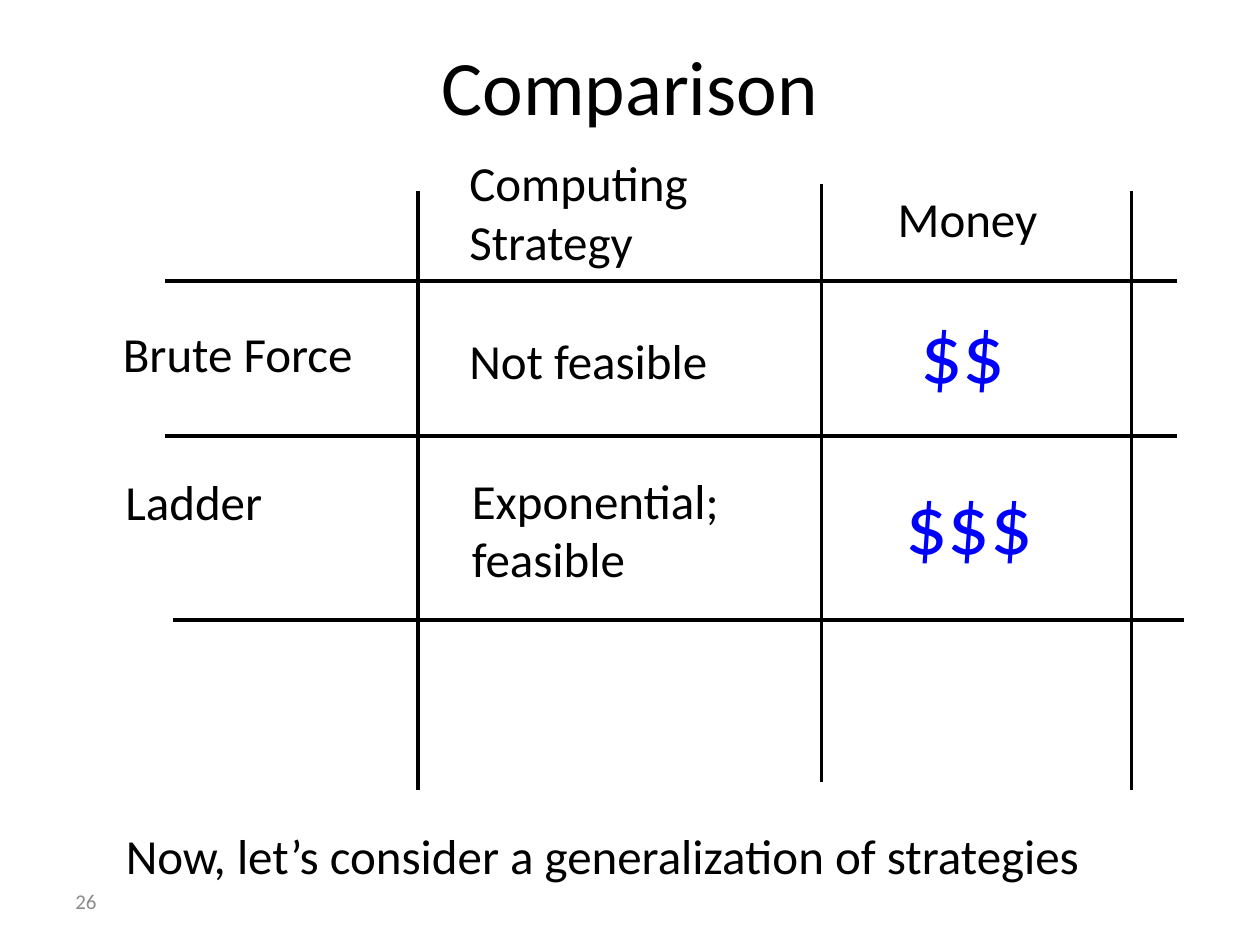
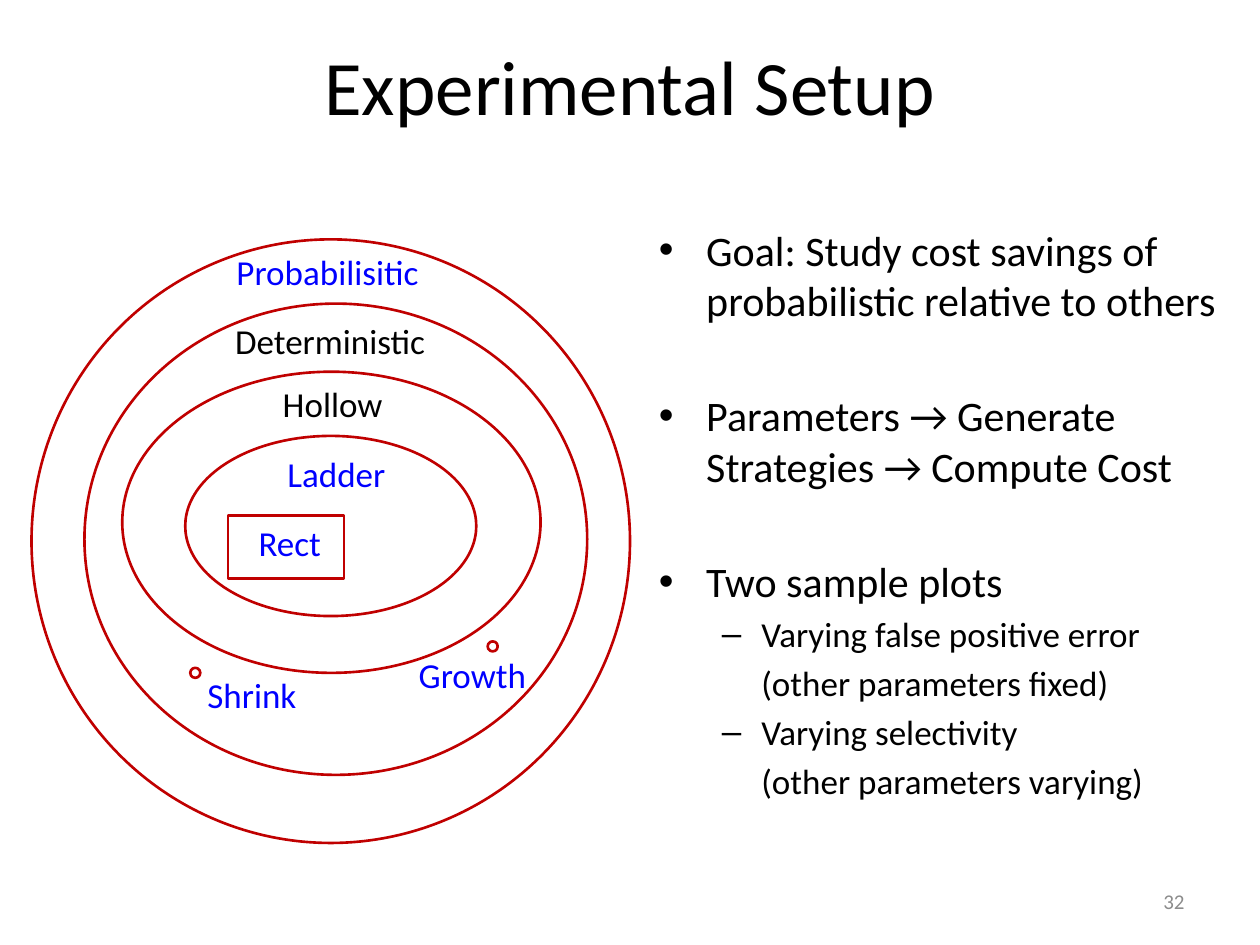
from lxml import etree
from pptx import Presentation, util as u
from pptx.dml import color
from pptx.enum import shapes, text
from pptx.oxml import ns

# Shared style
FONT = "Calibri"
BLACK, GREY, BLUE, RED = "000000", "8C8C8C", "0000FF", "C00000"
LEFT, MID, RIGHT = text.PP_ALIGN.LEFT, text.PP_ALIGN.CENTER, text.PP_ALIGN.RIGHT
TOP, CENTRE = text.MSO_ANCHOR.TOP, text.MSO_ANCHOR.MIDDLE

deck = Presentation()
deck.slide_width, deck.slide_height = u.Inches(10), u.Inches(7.5)
# The slide is a grid of 100 by 75 square cells
cell = deck.slide_width // 100


def hue(code):
    return color.RGBColor.from_string(code)


def write(page, words, at, box=None, size=20, tint=BLACK, align=LEFT,
          anchor=TOP, inset=(1, 0.5), wrap=True):
    """Put lines of text in a given box or a new one, at grid cells."""
    box = box or page.shapes.add_textbox(0, 0, 0, 0)
    box.left, box.top, box.width, box.height = [int(n * cell) for n in at]
    frame = box.text_frame
    frame.text = words
    frame.word_wrap, frame.vertical_anchor = wrap, anchor
    frame.auto_size = text.MSO_AUTO_SIZE.NONE
    frame.margin_left = frame.margin_right = int(inset[0] * cell)
    frame.margin_top = frame.margin_bottom = int(inset[1] * cell)
    for para in frame.paragraphs:
        para.alignment = align
        para.font.name, para.font.size = FONT, u.Pt(size)
        para.font.color.rgb = hue(tint)
    return frame


# Titles and slide numbers
pages = []
for layout, title, number, left, side in [
    (5, "Comparison", "26", 5, LEFT),
    (1, "Experimental Setup", "32", 71.7, RIGHT),
]:
    page = deck.slides.add_slide(deck.slide_layouts[layout])
    write(page, title, (5, 1.5, 90, 10.5), page.shapes.title,
          size=44, align=MID, anchor=CENTRE)
    write(page, number, (left, 69.5, 23.3, 4), size=12, tint=GREY,
          align=side, anchor=CENTRE)
    pages.append(page)
table, setup = pages

# Comparison: rules of the grid
rules = [(x, y, x, y + 47.5) for x, y in [(33.2, 15.2), (65.2, 14.6), (89.8, 15.2)]]
rules += [(x, y, x + 80.3, y) for x, y in [(13.1, 22.3), (13.1, 34.6), (13.7, 49.2)]]
for ends in rules:
    rule = table.shapes.add_connector(
        shapes.MSO_CONNECTOR.STRAIGHT, *[int(n * cell) for n in ends])
    rule.line.color.rgb, rule.line.width = hue(BLACK), u.Pt(2.25)
    etree.SubElement(rule._element.spPr, ns.qn("a:effectLst"))

# Comparison: cell texts
for words, at, size, tint in [
    ("Computing Strategy", (36.5, 11.7, 31.1, 10.1), 28, BLACK),
    ("Money", (70.5, 14.6, 14.6, 5.4), 28, BLACK),
    ("Brute Force", (9, 25.3, 27.5, 5.4), 28, BLACK),
    ("Not feasible", (36.5, 25.8, 28.7, 5.4), 28, BLACK),
    ("$$", (72.3, 23.4, 11.1, 8.8), 48, BLUE),
    ("Ladder", (9.2, 37, 28.7, 5.4), 28, BLACK),
    ("Exponential; feasible", (36.7, 36.9, 28.7, 10.1), 28, BLACK),
    ("$$$", (71.1, 36.9, 13.5, 8.8), 48, BLUE),
]:
    write(table, words, at, size=size, tint=tint, inset=(0.75, 0.4))
write(table, "Now, let’s consider a generalization of strategies",
      (9, 65, 84.4, 5.7), size=28)

# Setup: bullet list, with a depth for each line
items = [
    (0, "Goal: Study cost savings of probabilistic relative to others"),
    (0, "Parameters → Generate Strategies → Compute Cost"),
    (0, "Two sample plots"),
    (1, "Varying false positive error"),
    (2, "(other parameters fixed)"),
    (1, "Varying selectivity"),
    (2, "(other parameters varying)"),
]
frame = write(setup, "\n".join(words for depth, words in items),
              (51.3, 17.3, 48.7, 48.3), setup.placeholders[1], size=24)
for rank, (para, (depth, words)) in enumerate(zip(frame.paragraphs, items)):
    para.level = min(depth, 1)
    para.space_before = u.Pt(0 if rank == 0 else 4 if depth else 37)
    if depth:
        para.font.size = u.Pt(20)
    if depth == 2:
        props = para._p.get_or_add_pPr()
        props.set("indent", "0")
        bullet = etree.Element(ns.qn("a:buNone"))
        props.find(ns.qn("a:defRPr")).addprevious(bullet)

# Setup: nested sets of strategies
kinds = shapes.MSO_SHAPE
for kind, at in [
    (kinds.OVAL, (2.5, 19, 47.5, 47.9)),
    (kinds.OVAL, (6.7, 24.1, 39.9, 37.4)),
    (kinds.OVAL, (9.7, 29.5, 33.2, 23.9)),
    (kinds.OVAL, (14.7, 34.6, 23.1, 14.3)),
    (kinds.RECTANGLE, (18.1, 40.9, 9.2, 5)),
    (kinds.FLOWCHART_CONNECTOR, (15.1, 53, 0.8, 0.8)),
    (kinds.FLOWCHART_CONNECTOR, (38.7, 50.9, 0.8, 0.8)),
]:
    ring = setup.shapes.add_shape(kind, *[int(n * cell) for n in at])
    ring.shadow.inherit = False
    ring.fill.background()
    ring.line.color.rgb, ring.line.width = hue(RED), u.Pt(1.5)

# Setup: set names, centred on a column
for words, mid, top, tint in [
    ("Probabilisitic", 26, 19.4, BLUE),
    ("Deterministic", 26.2, 24.9, BLACK),
    ("Hollow", 26.4, 29.9, BLACK),
    ("Ladder", 26.7, 35.4, BLUE),
    ("Rect", 23, 40.9, BLUE),
    ("Growth", 37.5, 51.4, BLUE),
    ("Shrink", 20, 53, BLUE),
]:
    write(setup, words, (mid - 10, top, 20, 4.4), tint=tint, align=MID)

deck.save("out.pptx")
